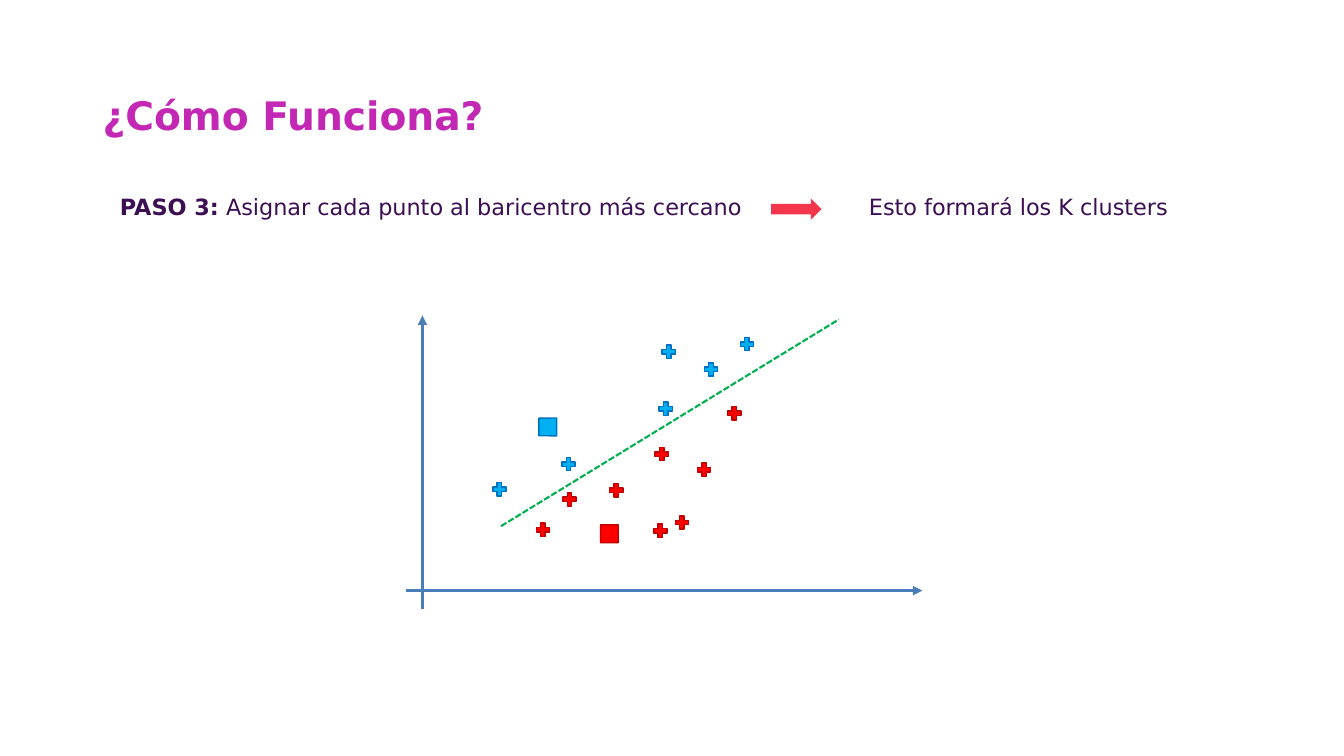
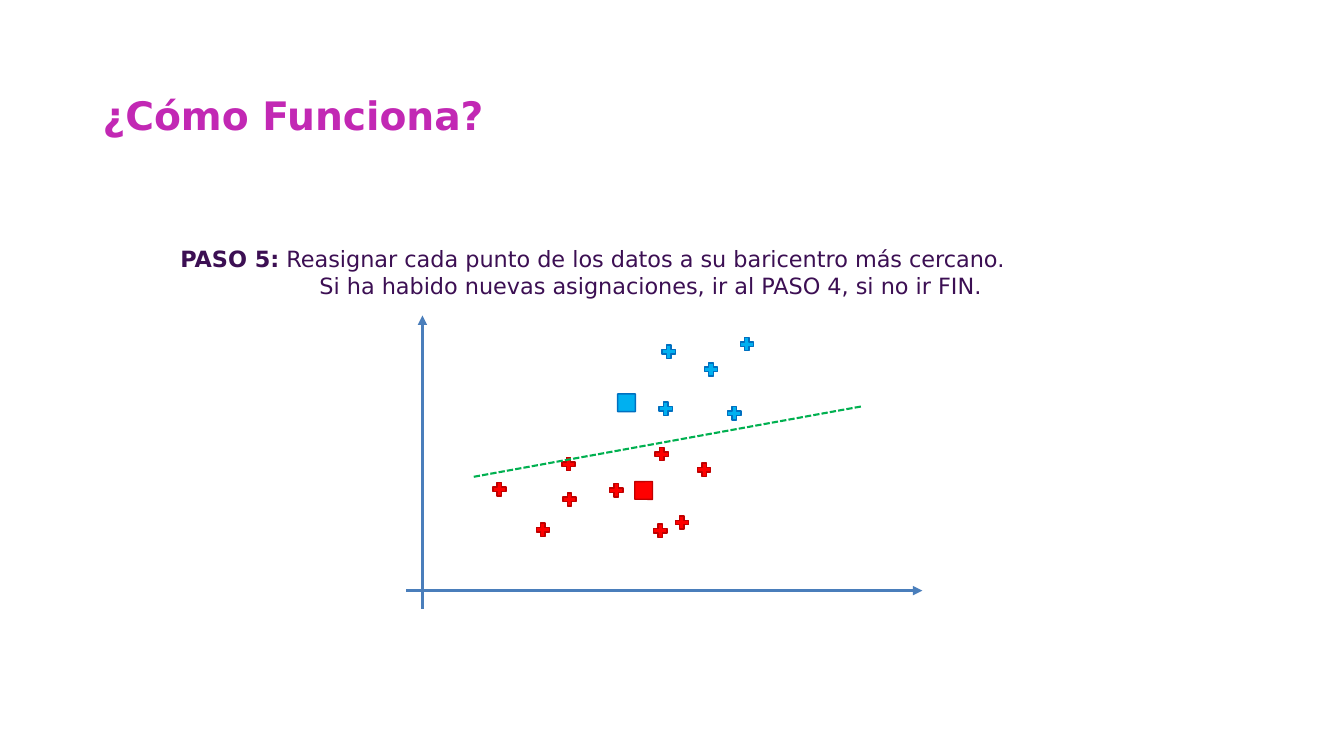
from pptx import Presentation
from pptx.dml.color import RGBColor
from pptx.enum.dml import MSO_LINE as Dash
from pptx.enum.shapes import MSO_CONNECTOR as Conn, MSO_SHAPE as Kind
from pptx.enum.text import MSO_ANCHOR as Anchor
from pptx.oxml.ns import qn
from pptx.util import Inches, Pt
from lxml.etree import SubElement as Sub

# Grid: 100 columns by 100 rows over the slide
WIDE, HIGH = Inches(13.33), Inches(7.5)

# Shared look
FONT = "DejaVu Sans"
HEAD = dict(name=FONT, size=Pt(28), bold=True)
BODY = dict(name=FONT, size=Pt(16), bold=False)
STEP = dict(BODY, bold=True)
PINK, PLUM, CORAL = "C228B4", "3C0F53", "F4364C"
AXIS, GREEN = "4A7EBB", "00B050"
RED, BLUE = ("FF0000", "C00000"), ("00B0F0", "0070C0")
CROSS, MEAN = 0.98, 1.87

# Data points, as column and row of their centres
DATA = [
    (54.64, 54.67), (40.39, 70.07), (49.24, 60.07), (50.74, 69.13),
    (42.38, 66.07), (45.86, 64.87), (49.13, 70.2), (52.39, 62.13),
    (37.16, 64.73), (42.3, 61.4), (49.54, 54.07), (52.91, 48.87),
    (55.58, 45.53), (49.76, 46.53),
]


def col(n):
    return round(WIDE * n / 100)


def row(n):
    return round(HIGH * n / 100)


def tint(code):
    return RGBColor.from_string(code)


def apply(item, form):
    for name, value in form.items():
        setattr(item, name, value)


def text(slide, area, lines, hue, frame=None, para=None):
    """Each line is a list of (words, font format) pairs."""
    x, y, w, h = area
    box = slide.shapes.add_textbox(col(x), row(y), col(w), row(h)).text_frame
    apply(box, dict(word_wrap=True, **(frame or {})))
    paras = []
    for i, line in enumerate(lines):
        p = box.add_paragraph() if i else box.paragraphs[0]
        apply(p, para or {})
        for words, form in line:
            run = p.add_run()
            run.text = words
            apply(run.font, form)
            run.font.color.rgb = tint(hue)
        paras.append(p)
    return paras


def note(slide, area, lines):
    edge = Inches(0.05)
    sides = ("left", "top", "right", "bottom")
    return text(slide, area, lines, PLUM, {"margin_" + s: edge for s in sides})


def line(slide, start, end, hue, size, dash=None, arrow=False):
    (x, y), (u, v) = start, end
    link = slide.shapes.add_connector(
        Conn.STRAIGHT, col(x), row(y), col(u), row(v))
    link.line.color.rgb = tint(hue)
    apply(link.line, dict(width=Pt(size), dash_style=dash))
    props = link._element.spPr
    if arrow:
        Sub(props.find(qn("a:ln")), qn("a:tailEnd"), type="triangle")
    Sub(props, qn("a:effectLst"))


def shape(slide, kind, x, y, w, h, fill, edge=None):
    form = slide.shapes.add_shape(kind, x, y, w, h)
    form.shadow.inherit = False
    form.fill.solid()
    form.fill.fore_color.rgb = tint(fill)
    if edge:
        form.line.color.rgb = tint(edge)
        form.line.width = Pt(1)
    else:
        form.line.fill.background()
    return form


def mark(slide, kind, spot, size, hues):
    side = col(size)
    x, y = col(spot[0]) - side // 2, row(spot[1]) - side // 2
    return shape(slide, kind, x, y, side, side, *hues)


def plot(slide, split, red, blue):
    """Axes, points coloured by their side of the split, and two means."""
    line(slide, (31.43, 80.53), (31.43, 41.73), AXIS, 2.25, arrow=True)
    line(slide, (30.23, 78.13), (68.63, 78.13), AXIS, 2.25, arrow=True)
    (x, y), (u, v) = split
    slope = (v - y) / (u - x)
    for spot in DATA:
        above = spot[1] < y + slope * (spot[0] - x)
        plus = mark(slide, Kind.CROSS, spot, CROSS, BLUE if above else RED)
        plus.adjustments[0] = 0.33
    line(slide, *split, GREEN, 1.5, dash=Dash.SQUARE_DOT)
    for spot, hues in ((red, RED), (blue, BLUE)):
        mark(slide, Kind.DIAMOND, spot, MEAN, hues).rotation = 315


def page(deck):
    slide = deck.slides.add_slide(deck.slide_layouts[6])
    text(slide, (6.9, 9.47, 86.25, 12.13), [[("¿Cómo Funciona?", HEAD)]], PINK,
         dict(vertical_anchor=Anchor.MIDDLE), dict(line_spacing=0.9))
    return slide


def assign(deck):
    slide = page(deck)
    plot(slide, ((37.28, 69.6), (62.4, 42.27)), (45.34, 70.6), (40.76, 56.47))
    words = " Asignar cada punto al baricentro más cercano\tEsto formará los K clusters"
    first, = note(slide, (8.55, 24.93, 82.5, 4.93),
                  [[("PASO 3:", STEP), (words, BODY)]])
    # Tab stop that leaves room for the arrow
    tabs = Sub(first._p.get_or_add_pPr(), qn("a:tabLst"))
    Sub(tabs, qn("a:tab"), pos=str(col(55.73)), algn="l")
    shape(slide, Kind.RIGHT_ARROW, col(57.38), row(26.27),
          col(3.75), row(2.8), CORAL)


def repeat(deck):
    slide = page(deck)
    plot(slide, ((35.25, 63.07), (64.2, 53.73)), (47.89, 64.87), (46.61, 53.27))
    words = " Reasignar cada punto de los datos a su baricentro más cercano."
    after = "Si ha habido nuevas asignaciones, ir al PASO 4, si no ir FIN."
    last = note(slide, (13.05, 31.73, 71.25, 8.53),
                [[("PASO 5:", STEP), (words, BODY)], [(after, BODY)]])[-1]
    last._p.get_or_add_pPr().set("marL", str(col(10.35)))


def main():
    deck = Presentation()
    apply(deck, dict(slide_width=WIDE, slide_height=HIGH))
    assign(deck)
    repeat(deck)
    deck.save("out.pptx")


if __name__ == "__main__":
    main()
